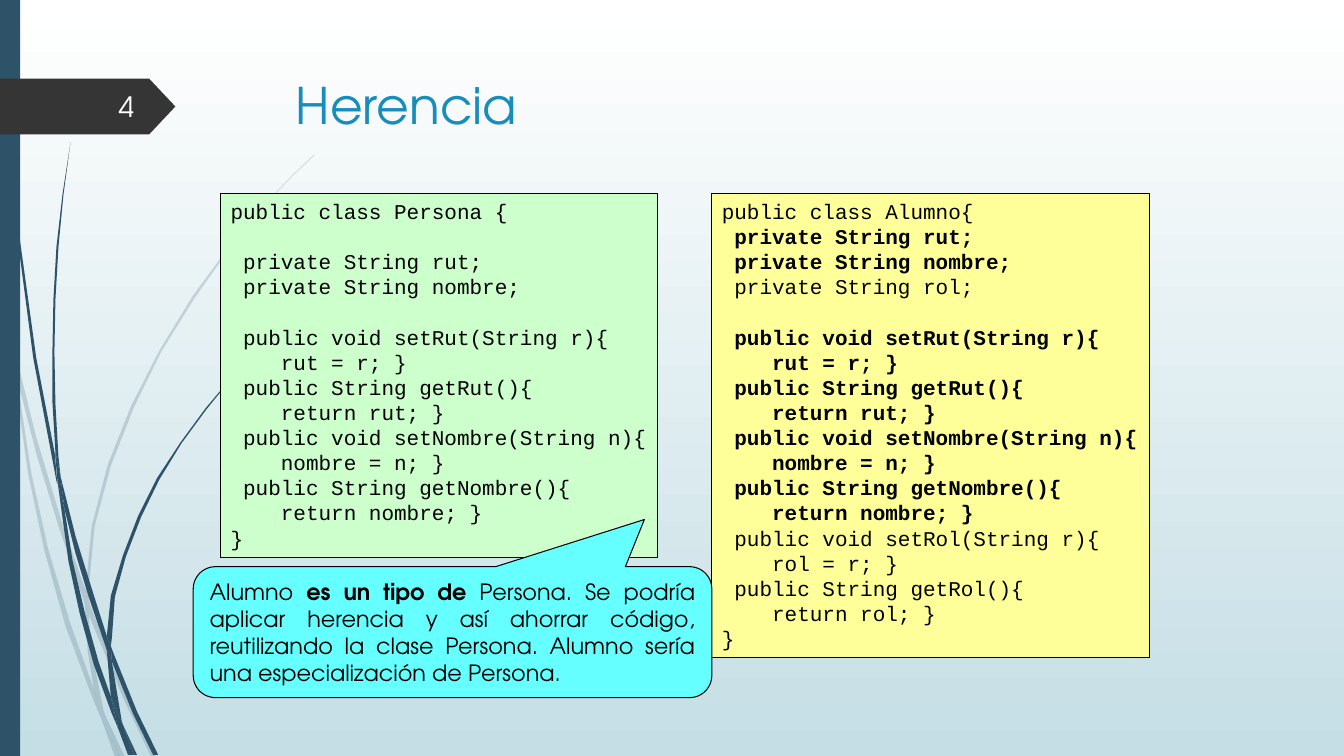
from pptx import Presentation
from pptx.dml.color import RGBColor
from pptx.enum.shapes import MSO_SHAPE
from pptx.enum.text import MSO_ANCHOR, PP_ALIGN
from pptx.oxml.ns import qn
from pptx.util import Cm, Pt
from lxml import etree

RECTANGLE = MSO_SHAPE.RECTANGLE
PENTAGON = MSO_SHAPE.PENTAGON
CALLOUT = MSO_SHAPE.ROUNDED_RECTANGULAR_CALLOUT
TOP, MIDDLE = MSO_ANCHOR.TOP, MSO_ANCHOR.MIDDLE
LEFT, RIGHT, JUSTIFY = PP_ALIGN.LEFT, PP_ALIGN.RIGHT, PP_ALIGN.JUSTIFY

WHITE = RGBColor(0xFF, 0xFF, 0xFF)
PALE_BLUE = RGBColor(0xC5, 0xDE, 0xE5)
NAVY = RGBColor(0x2E, 0x53, 0x69)
CHARCOAL = RGBColor(0x35, 0x35, 0x35)
TITLE_BLUE = RGBColor(0x17, 0x8D, 0xBB)
NUMBER_WHITE = RGBColor(0xFE, 0xFF, 0xFF)
BLACK = RGBColor(0x00, 0x00, 0x00)
GREEN = RGBColor(0xCC, 0xFF, 0xCC)
YELLOW = RGBColor(0xFF, 0xFF, 0x99)
CYAN = RGBColor(0x66, 0xFF, 0xFF)
HEADING_FONT = "TeX Gyre Adventor"
CODE_FONT = "Courier New"


def add_span(para, text, size=16, font=HEADING_FONT, color=BLACK, bold=False):
    span = para.add_run()
    span.text = text
    span.font.size = Pt(size)
    span.font.name = font
    span.font.color.rgb = color
    span.font.bold = bold


def paint(shape, fill, line=None):
    shape.shadow.inherit = False
    shape.fill.solid()
    shape.fill.fore_color.rgb = fill
    if line is None:
        shape.line.fill.background()
    else:
        shape.line.color.rgb = line
        shape.line.width = Pt(0.75)


deck = Presentation()
deck.slide_width, deck.slide_height = Cm(33.87), Cm(19.05)
page = deck.slides.add_slide(deck.slide_layouts[5])

background = page.background.fill
background.gradient()
background.gradient_angle = 270
for stop, color in zip(background.gradient_stops, (WHITE, PALE_BLUE)):
    stop.color.rgb = color

PALE_STRANDS = [
    [(11, 350), (9, 322), (0, 282), (0, 299), (10, 344)],
    [(58, 522), (84, 599), (85, 586), (62, 520), (36, 434), (14, 345), (17, 376), (36, 450)],
    [(92, 607), (88, 596), (88, 610), (123, 694), (150, 751), (155, 751), (127, 692)],
    [(119, 751), (124, 751), (105, 711)],
    [(93, 683), (70, 619), (48, 545), (31, 469), (17, 376), (11, 350), (28, 470),
     (44, 546), (65, 621), (92, 693), (101, 714), (99, 707)],
    [(84, 599), (87, 646), (93, 683), (96, 692), (105, 711), (103, 706), (91, 646),
     (88, 610), (88, 608)],
    [(88, 584), (94, 522), (110, 462), (133, 404), (160, 349), (193, 296), (229, 245),
     (268, 198), (290, 175), (312, 154), (312, 153), (289, 175), (268, 197), (228, 244),
     (191, 294), (158, 348), (130, 403), (107, 461), (91, 522), (85, 584), (85, 586), (88, 596)],
    [(101, 714), (114, 751), (119, 751)],
    [(88, 608), (88, 610), (88, 596), (85, 586), (84, 599)],
    [(96, 692), (93, 683), (99, 707), (101, 714), (119, 751), (105, 711)],
]
DARK_STRANDS = [
    [(7, 110), (17, 233), (33, 355), (56, 477), (57, 481), (55, 457), (55, 453), (36, 355),
     (19, 232), (8, 109), (5, 48), (4, 0), (3, 0), (4, 48)],
    [(88, 592), (106, 645), (106, 633), (106, 631), (93, 590), (75, 532), (60, 472),
     (64, 505), (75, 549)],
    [(113, 649), (110, 641), (111, 656), (132, 708), (152, 749), (157, 749), (136, 706)],
    [(110, 691), (98, 657), (84, 607), (72, 556), (64, 505), (57, 477), (68, 557),
     (79, 608), (93, 659), (111, 708), (117, 722), (116, 717)],
    [(60, 472), (58, 453), (55, 401), (54, 349), (55, 297), (58, 245), (63, 193), (70, 141),
     (62, 193), (56, 245), (53, 297), (52, 349), (52, 399), (55, 449)],
    [(133, 749), (136, 749), (122, 719)],
    [(57, 477), (64, 505), (60, 472), (55, 449), (55, 453)],
    [(111, 633), (114, 592), (125, 552), (140, 513), (158, 476), (180, 440), (205, 406),
     (231, 374), (245, 359), (261, 344), (260, 344), (245, 358), (231, 373), (204, 405),
     (179, 439), (156, 474), (137, 512), (122, 551), (110, 591), (106, 631), (110, 641)],
    [(117, 722), (127, 749), (131, 749)],
    [(106, 645), (110, 691), (116, 706), (122, 719), (121, 716), (111, 656), (109, 651)],
    [(106, 645), (109, 651), (111, 656), (110, 641), (106, 631), (106, 633)],
    [(116, 706), (110, 691), (116, 717), (117, 722), (130, 749), (133, 749), (122, 719)],
]
for strands, opacity in ((PALE_STRANDS, 20), (DARK_STRANDS, 100)):
    for outline in strands:
        builder = page.shapes.build_freeform(*outline[0], scale=Cm(0.0254))
        builder.add_line_segments(outline[1:], close=True)
        strand = builder.convert_to_shape()
        paint(strand, NAVY)
        if opacity < 100:
            shade = strand.fill._xPr.find(qn("a:solidFill"))[0]
            etree.SubElement(shade, qn("a:alpha")).set("val", str(opacity * 1000))

side_band = page.shapes.add_shape(RECTANGLE, 0, 0, Cm(0.51), Cm(19.05))
paint(side_band, NAVY)
number_tab = page.shapes.add_shape(PENTAGON, 0, Cm(1.98), Cm(4.42), Cm(1.41))
number_tab.adjustments[0] = 0.47
paint(number_tab, CHARCOAL)

title = page.shapes.title
title.left, title.top, title.width, title.height = Cm(7.2), Cm(1.73), Cm(24.77), Cm(3.56)
title.text_frame.vertical_anchor = TOP
title_para = title.text_frame.paragraphs[0]
title_para.alignment = LEFT
add_span(title_para, "Herencia", size=36, color=TITLE_BLUE)

number_box = page.shapes.add_textbox(Cm(1.47), Cm(2.18), Cm(2.16), Cm(1.02))
number_box.text_frame.word_wrap = True
number_box.text_frame.vertical_anchor = MIDDLE
number_para = number_box.text_frame.paragraphs[0]
number_para.alignment = RIGHT
add_span(number_para, "4", size=20, color=NUMBER_WHITE)

FIELDS = [(1, "private String rut;"), (1, "private String nombre;")]
ACCESSORS = [
    (1, "public void setRut(String r){"), (4, "rut = r; }"),
    (1, "public String getRut(){"), (4, "return rut; }"),
    (1, "public void setNombre(String n){"), (4, "nombre = n; }"),
    (1, "public String getNombre(){"), (4, "return nombre; }"),
]
ROLE_ACCESSORS = [
    (1, "public void setRol(String r){"), (4, "rol = r; }"),
    (1, "public String getRol(){"), (4, "return rol; }"),
]
CLOSING = [(0, "}")]
PERSONA = [
    (False, False, [(0, "public class Persona {")]),
    (True, False, FIELDS),
    (True, False, ACCESSORS),
    (False, False, CLOSING),
]
ALUMNO = [
    (False, False, [(0, "public class Alumno{")]),
    (False, True, FIELDS),
    (False, False, [(1, "private String rol;")]),
    (True, True, ACCESSORS),
    (False, False, ROLE_ACCESSORS + CLOSING),
]
LINE_PITCH = Pt(17.95)
for left, height, fill, sections in ((5.56, 9.17, GREEN, PERSONA), (17.94, 11.7, YELLOW, ALUMNO)):
    code_box = page.shapes.add_shape(RECTANGLE, Cm(left), Cm(4.88), Cm(11.02), Cm(height))
    paint(code_box, fill, BLACK)
    frame = code_box.text_frame
    frame.word_wrap = False
    frame.vertical_anchor = TOP
    para = frame.paragraphs[0]
    for gap_before, bold, lines in sections:
        for row, (indent, text) in enumerate(lines):
            if para.runs:
                para = frame.add_paragraph()
            para.alignment = LEFT
            para.line_spacing = LINE_PITCH
            if gap_before and row == 0:
                para.space_before = LINE_PITCH
            para._p.get_or_add_pPr().set("marL", str(Pt(9 * indent)))
            add_span(para, text, size=15, font=CODE_FONT, bold=bold)

callout = page.shapes.add_shape(CALLOUT, Cm(4.87), Cm(14.28), Cm(13.07), Cm(3.3))
for index, value in enumerate((0.37, -0.86, 0.17)):
    callout.adjustments[index] = value
paint(callout, CYAN, BLACK)
callout.text_frame.word_wrap = True
callout.text_frame.vertical_anchor = MIDDLE
callout_para = callout.text_frame.paragraphs[0]
callout_para.alignment = JUSTIFY
add_span(callout_para, "Alumno ")
add_span(callout_para, "es un tipo de", bold=True)
add_span(callout_para, " Persona. Se podría aplicar herencia y así ahorrar código, "
         "reutilizando la clase Persona. Alumno sería una especialización de Persona.")

deck.save("out.pptx")
